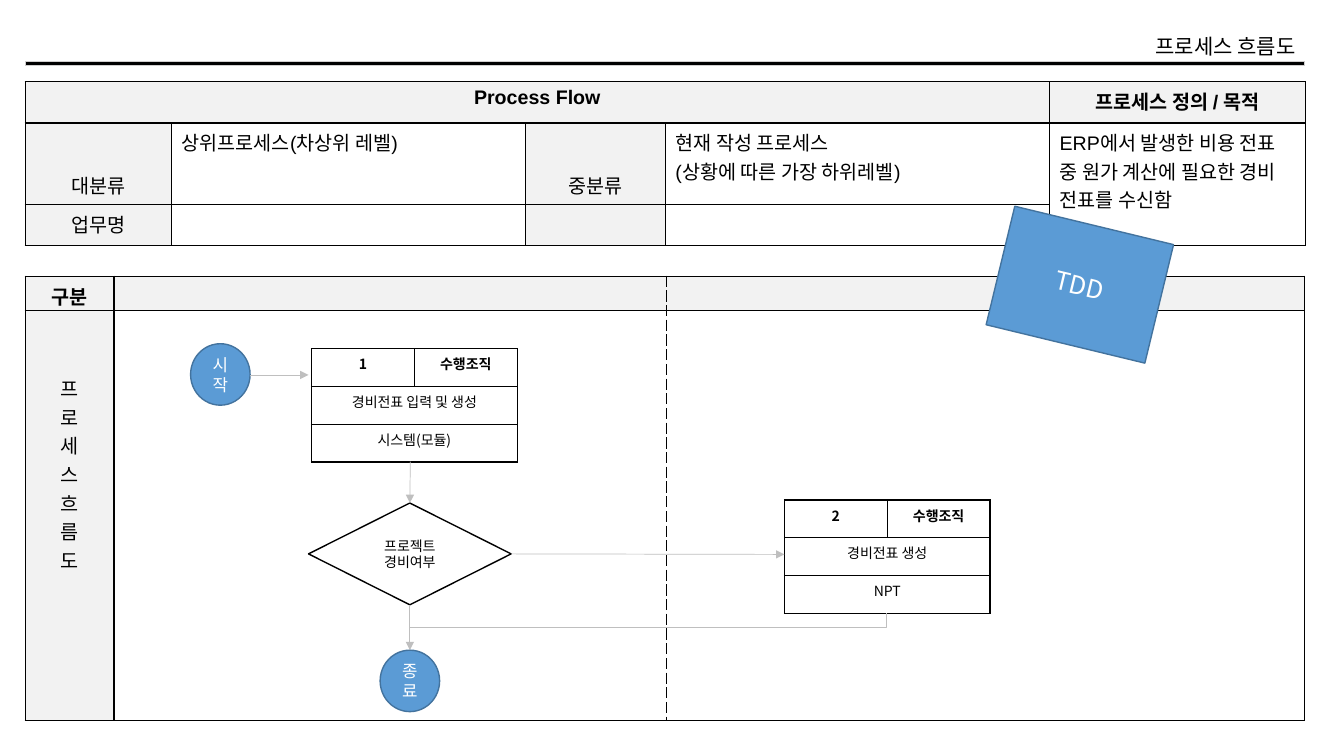
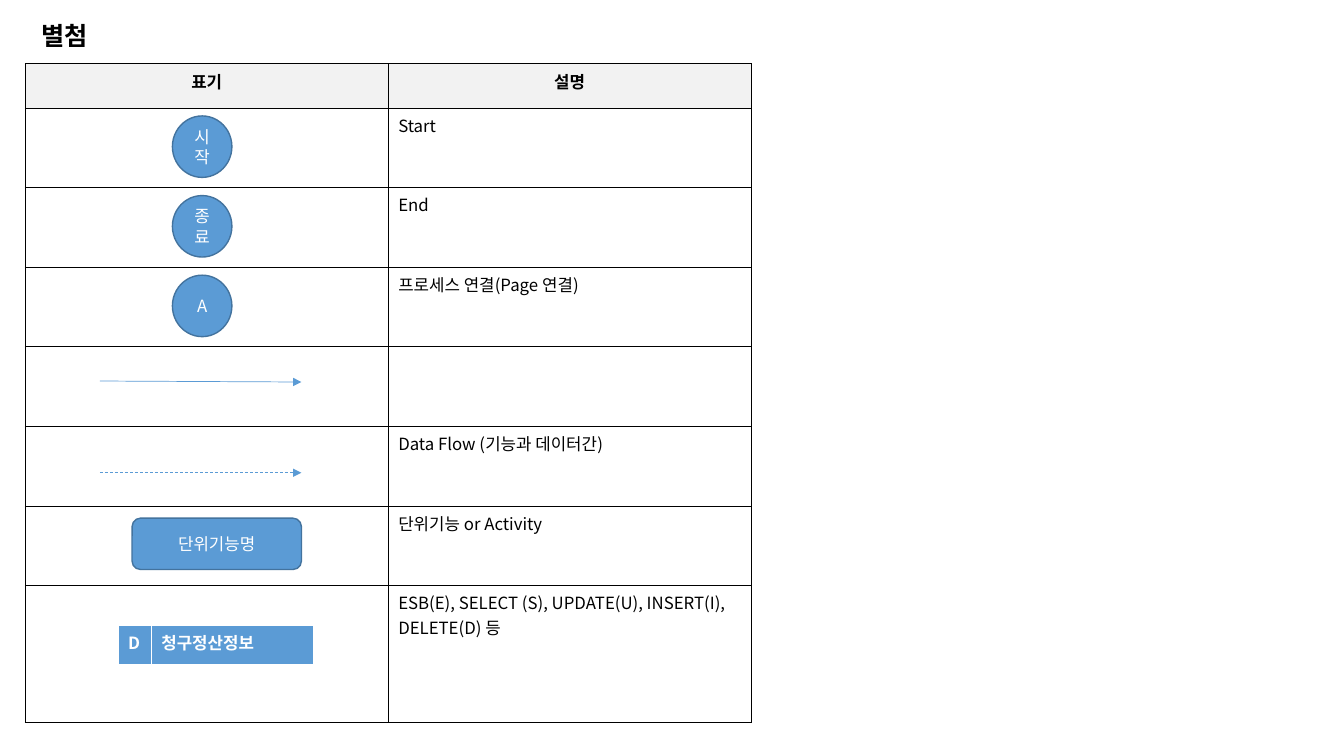
"""Build a process flow slide and its notation appendix."""
from dataclasses import dataclass

from lxml import etree
from pptx import Presentation
from pptx.dml.color import RGBColor
from pptx.enum import dml, shapes, text
from pptx.oxml.ns import qn
from pptx.util import Inches, Pt

KOREAN, LATIN = "Noto Sans CJK KR", "Arial"
BLACK, WHITE, HEADER = "000000", "FFFFFF", "F2F2F2"
BLUE, BLUE_EDGE, ARROW = "5B9BD5", "43739E", "BFBFBF"
LEFT, FULL_WIDTH = 0.25, 12.69
CIRCLE_SIZE = (0.59, 0.61)
ALIGN = {"left": text.PP_ALIGN.LEFT, "center": text.PP_ALIGN.CENTER,
         "right": text.PP_ALIGN.RIGHT}
SHAPE, CONNECTOR = shapes.MSO_SHAPE, shapes.MSO_CONNECTOR


@dataclass
class Cell:
    text: str = ""
    align: str = "left"
    bold: bool = False
    fill: str = ""
    spacing: float = 1
    color: str = BLACK
    columns: int = 1
    rows: int = 1
    margin_top: float = 0.05
    margin_bottom: float = 0.05


def heading(label, **options):
    return Cell(label, "center", True, HEADER, **options)


def category(label="", **options):
    return Cell(label, "center", False, HEADER, **options)


OVERVIEW = [
    [heading("Process Flow", columns=4), None, None, None, heading("프로세스 정의 / 목적")],
    [category("대분류", spacing=2.5), Cell("상위프로세스(차상위 레벨)"),
     category("중분류", spacing=2.5),
     Cell("현재 작성 프로세스\n(상황에 따른 가장 하위레벨)"),
     Cell("ERP에서 발생한 비용 전표 중 원가 계산에 필요한 경비 전표를 수신함", rows=2)],
    [category("업무명"), Cell(), category(), Cell(), None],
]
FLOW_FRAME = [
    [heading("구분", margin_bottom=0), category(), category()],
    [category("\n".join("프로세스흐름도"), margin_top=0.63), Cell(), Cell()],
]
STEPS = [
    (3.09, 3.46, "1", "경비전표 입력 및 생성", "시스템(모듈)"),
    (7.78, 4.96, "2", "경비전표 생성", "NPT"),
]
LEGEND = ["Start", "End", "프로세스 연결(Page 연결)", "", "Data Flow (기능과 데이터간)",
          "단위기능 or Activity", "ESB(E), SELECT (S), UPDATE(U), INSERT(I), DELETE(D) 등"]
LEGEND_CIRCLES = ["시작", "종료", "A"]
LEGEND_TOP, LEGEND_HEADER, LEGEND_ROW = 0.63, 0.44, 0.79
DATA_STORE = ["D", "청구정산정보"]


def rgb(value):
    return RGBColor.from_string(value)


def write(frame, content, size, color=BLACK, align="left", bold=False, font=KOREAN, spacing=1):
    frame.text = content
    for paragraph in frame.paragraphs:
        paragraph.alignment = ALIGN[align]
        if spacing != 1:
            paragraph.line_spacing = spacing
        if not paragraph.runs:
            paragraph._p.get_or_add_endParaRPr().set("sz", str(size * 100))
        for run in paragraph.runs:
            run.font.size, run.font.bold = Pt(size), bold
            run.font.color.rgb = rgb(color)
            run.font.name = font
            etree.SubElement(run._r.get_or_add_rPr(), qn("a:ea"), typeface=KOREAN)


def add_titled_slide(presentation, title, box, size, align, bold=False):
    slide = presentation.slides.add_slide(presentation.slide_layouts[5])
    placeholder = slide.shapes.title
    placeholder.left, placeholder.top, placeholder.width, placeholder.height = map(Inches, box)
    frame = placeholder.text_frame
    write(frame, title, size, align=align, bold=bold)
    frame.word_wrap = False
    frame.auto_size = text.MSO_AUTO_SIZE.NONE
    frame.vertical_anchor = text.MSO_ANCHOR.TOP
    return slide


def add_box(slide, kind, box, label="", size=12, fill=BLUE, edge=BLUE_EDGE, width=1,
            color=WHITE):
    shape = slide.shapes.add_shape(kind, *map(Inches, box))
    shape.shadow.inherit = False
    if fill:
        shape.fill.solid()
        shape.fill.fore_color.rgb = rgb(fill)
    else:
        shape.fill.background()
    shape.line.color.rgb, shape.line.width = rgb(edge), Pt(width)
    if label:
        write(shape.text_frame, label, size, color, "center")
        shape.text_frame.vertical_anchor = text.MSO_ANCHOR.MIDDLE
    return shape


def add_circle(slide, left, top, label):
    return add_box(slide, SHAPE.OVAL, (left, top, *CIRCLE_SIZE), label)


def add_line(slide, start, end, color=ARROW, kind=CONNECTOR.STRAIGHT, arrow=True, dashed=False):
    connector = slide.shapes.add_connector(kind, *map(Inches, (*start, *end)))
    connector.line.color.rgb, connector.line.width = rgb(color), Pt(0.5)
    if dashed:
        connector.line.dash_style = dml.MSO_LINE.DASH
    if arrow:
        etree.SubElement(connector.line._get_or_add_ln(), qn("a:tailEnd"), type="triangle")
    etree.SubElement(connector._element.spPr, qn("a:effectLst"))
    return connector


def add_border(cell, side, color, width, dash):
    line = etree.SubElement(cell._tc.get_or_add_tcPr(), qn("a:ln" + side), w=str(Pt(width)))
    fill = etree.SubElement(line, qn("a:solidFill"))
    etree.SubElement(fill, qn("a:srgbClr"), val=color)
    etree.SubElement(line, qn("a:prstDash"), val=dash)


def add_table(slide, left, top, widths, heights, rows, size, font=KOREAN, border=BLACK,
              width=1, bottom=None, dashed_after=None):
    frame = slide.shapes.add_table(len(heights), len(widths), *map(
        Inches, (left, top, sum(widths), sum(heights))))
    table = frame.table
    table.first_row = table.horz_banding = False
    for column, value in zip(table.columns, widths):
        column.width = Inches(value)
    for row, value in zip(table.rows, heights):
        row.height = Inches(value)
    for i, row in enumerate(rows):
        for j, content in enumerate(row):
            cell = table.cell(i, j)
            for side in "LRTB":
                dashed = (side, j) in (("R", dashed_after), ("L", (dashed_after or 0) + 1))
                add_border(cell, side, border, bottom if side == "B" and bottom else width,
                           "dash" if dashed and dashed_after else "solid")
            content = content or Cell()
            if content.fill:
                cell.fill.solid()
                cell.fill.fore_color.rgb = rgb(content.fill)
            else:
                cell.fill.background()
            cell.margin_top = Inches(content.margin_top)
            cell.margin_bottom = Inches(content.margin_bottom)
            write(cell.text_frame, content.text, size, content.color, content.align,
                  content.bold, font, content.spacing)
            if content.columns > 1 or content.rows > 1:
                cell.merge(table.cell(i + content.rows - 1, j + content.columns - 1))


def build_flow(presentation):
    slide = add_titled_slide(presentation, "프로세스 흐름도", (11.2, 0.28, 1.75, 0.35), 15, "right")
    add_box(slide, SHAPE.RECTANGLE, (LEFT, 0.61, FULL_WIDTH, 0.04), fill=BLACK,
            edge="D0CECE", width=0.3)
    add_table(slide, LEFT, 0.81, [1.45, 3.51, 1.39, 3.81, 2.54], [0.41, 0.81, 0.41],
              OVERVIEW, 14, LATIN)
    add_table(slide, LEFT, 2.74, [0.88, 5.48, 6.33], [0.34, 4.07], FLOW_FRAME, 14, LATIN,
              dashed_after=1)
    add_circle(slide, 1.89, 3.41, "시작")
    end = add_circle(slide, 3.77, 6.45, "종료")
    for left, top, number, name, system in STEPS:
        rows = [[Cell(number, "center", True), Cell("수행조직", "center", True)],
                [Cell(name, "center", columns=2), None],
                [Cell(system, "center", columns=2), None]]
        add_table(slide, left, top, [1.02] * 2, [0.375] * 3, rows, 10)
    decision = add_box(slide, SHAPE.FLOWCHART_DECISION, (3.06, 4.99, 2.01, 1.01),
                       "프로젝트 경비여부", 10, "", BLACK, color=BLACK)
    add_line(slide, (2.48, 3.72), (3.06, 3.72))
    add_line(slide, (4.07, 4.58), (4.07, 4.99)).end_connect(decision, 0)
    to_end = add_line(slide, (4.07, 6), (4.07, 6.45))
    to_end.begin_connect(decision, 2)
    to_end.end_connect(end, 0)
    add_line(slide, (5.07, 5.5), (7.78, 5.5)).begin_connect(decision, 3)
    elbow = add_line(slide, (6.36, 3.79), (6.5, 8.52), kind=CONNECTOR.ELBOW, arrow=False)
    elbow._element.spPr.find(qn("a:xfrm")).set("rot", str(90 * 60000))
    elbow._element.spPr.find(qn("a:prstGeom")).set("prst", "bentConnector2")
    add_box(slide, SHAPE.RECTANGLE, (9.9, 2.22, 1.62, 1.21), "TDD", 18).rotation = 13.6


def build_legend(presentation):
    slide = add_titled_slide(presentation, "별첨", (0.31, 0.15, 0.71, 0.4), 18, "left", True)
    rows = [[heading("표기"), heading("설명")]] + [[Cell(), Cell(label)] for label in LEGEND]
    add_table(slide, LEFT, LEGEND_TOP, [3.6] * 2, [LEGEND_HEADER] + [LEGEND_ROW] * 6 + [1.36],
              rows, 12, width=0.5)
    for i, label in enumerate(LEGEND_CIRCLES):
        add_circle(slide, 1.71, LEGEND_TOP + LEGEND_HEADER + LEGEND_ROW * i + 0.08, label)
    add_line(slide, (0.99, 3.78), (2.99, 3.79), BLUE)
    add_line(slide, (0.99, 4.69), (2.99, 4.69), BLUE, dashed=True)
    add_box(slide, SHAPE.ROUNDED_RECTANGLE, (1.31, 5.14, 1.68, 0.51), "단위기능명")
    store = [Cell(label, bold=True, fill=BLUE, color=WHITE) for label in DATA_STORE]
    add_table(slide, 1.17, 6.2, [0.33, 1.61], [0.41], [store], 12, border=WHITE, bottom=3)


def main():
    presentation = Presentation()
    presentation.slide_width, presentation.slide_height = Inches(13.33), Inches(7.5)
    build_flow(presentation)
    build_legend(presentation)
    presentation.save("out.pptx")


if __name__ == "__main__":
    main()
